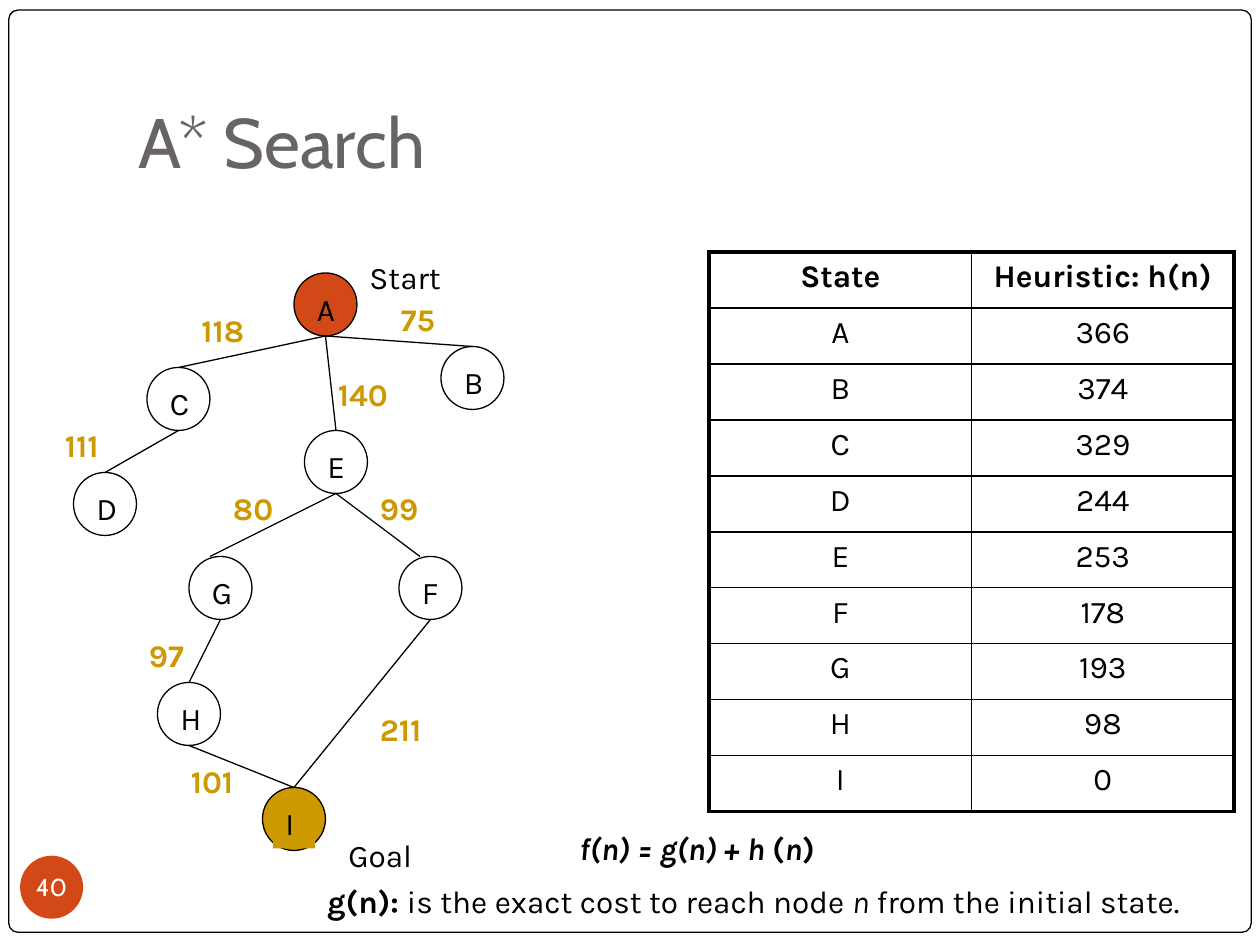
from lxml import etree
from pptx import Presentation
from pptx.dml.color import RGBColor
from pptx.enum.shapes import MSO_CONNECTOR, MSO_SHAPE
from pptx.enum.text import MSO_ANCHOR, PP_ALIGN
from pptx.oxml.ns import qn
from pptx.util import Pt

BLACK = RGBColor(0x00, 0x00, 0x00)
WHITE = RGBColor(0xFF, 0xFF, 0xFF)
GRAY = RGBColor(0x69, 0x64, 0x64)
ORANGE = RGBColor(0xD3, 0x48, 0x17)
GOLD = RGBColor(0xCC, 0x99, 0x00)
ELLIPSE, RECTANGLE = MSO_SHAPE.OVAL, MSO_SHAPE.RECTANGLE
ROUNDED, STRAIGHT = MSO_SHAPE.ROUNDED_RECTANGLE, MSO_CONNECTOR.STRAIGHT
CENTER, MIDDLE, BOTTOM = PP_ALIGN.CENTER, MSO_ANCHOR.MIDDLE, MSO_ANCHOR.BOTTOM
HEADING_FONT, BODY_FONT = "Cabin", "Karla"

# Node: left, top of its circle
NODES = {
    "A": (168, 156), "B": (252, 198), "D": (42, 270),
    "C": (84, 210), "E": (174, 246), "F": (228, 318),
    "I": (150, 450), "G": (108, 318), "H": (90, 390),
}
NODE_FILLS = {"A": ORANGE, "I": GOLD}
# Parent, child, sideways shift of the child end, cost, cost box left, top, width
EDGES = [
    ("A", "B", 0, "75", 222, 168, 48),
    ("A", "C", 0, "118", 108, 174, 60),
    ("A", "E", 0, "140", 186, 211, 60),
    ("C", "D", 0, "111", 30, 240, 60),
    ("E", "G", -6, "80", 126, 276, 48),
    ("E", "F", -6, "99", 210, 276, 48),
    ("G", "H", 0, "97", 78, 360, 48),
    ("H", "I", 0, "101", 102, 432, 66),
    ("F", "I", 0, "211", 210, 402, 60),
]
CAPTIONS = [("Start", 204, 144), ("Goal", 192, 474)]
HEURISTICS = [
    ("State", "Heuristic: h(n)"),
    ("A", "366"), ("B", "374"), ("C", "329"), ("D", "244"), ("E", "253"),
    ("F", "178"), ("G", "193"), ("H", "98"), ("I", "0"),
]
# Run: text, bold, italic
FORMULA = [("f(n) = g(n) + h ", True, True), ("(", True, False),
           ("n", True, True), (")", True, False)]
DEFINITION = [("g(n): ", True, False),
              ("is the exact cost to reach node ", False, False),
              ("n", False, True), (" from the initial state.", False, False)]

DIAMETER, LABEL_INSET, LABEL_WIDTH, LABEL_HEIGHT = 36, 6, 24, 28.8
TABLE_LEFT, TABLE_TOP, COLUMN_WIDTH, ROW_HEIGHT = 405.2, 144, 150, 32
THIN, INNER, OUTER = 0.75, 1, 2.25


def format_run(run, size=18, color=BLACK, font=BODY_FONT, bold=False, italic=False):
    run.font.size, run.font.name = Pt(size), font
    run.font.color.rgb = color
    run.font.bold, run.font.italic = bold, italic


def add_shape(slide, kind, left, top, width, height, fill=None, line=None):
    shape = slide.shapes.add_shape(kind, Pt(left), Pt(top), Pt(width), Pt(height))
    shape.shadow.inherit = False
    if fill is None:
        shape.fill.background()
    else:
        shape.fill.solid()
        shape.fill.fore_color.rgb = fill
    if line is None:
        shape.line.fill.background()
    else:
        shape.line.color.rgb = line
        shape.line.width = Pt(THIN)
    return shape


def add_text(slide, text, left, top, width, height=LABEL_HEIGHT, **font):
    box = slide.shapes.add_textbox(Pt(left), Pt(top), Pt(width), Pt(height))
    box.text_frame.word_wrap = True
    box.text_frame.text = text
    format_run(box.text_frame.paragraphs[0].runs[0], **font)
    return box


def add_line(slide, start, end):
    line = slide.shapes.add_connector(STRAIGHT, *map(Pt, start + end))
    line.line.color.rgb = BLACK
    line.line.width = Pt(THIN)
    etree.SubElement(line._element.spPr, qn("a:effectLst"))


def add_node(slide, name):
    left, top = NODES[name]
    fill = NODE_FILLS.get(name)
    add_shape(slide, ELLIPSE, left, top, DIAMETER, DIAMETER, fill, BLACK)
    label = add_text(slide, name, left + LABEL_INSET, top + LABEL_INSET, LABEL_WIDTH)
    if name == "I":
        label.fill.solid()
        label.fill.fore_color.rgb = fill


def add_edge(slide, parent, child, shift, cost, left, top, width):
    """Join the bottom of the parent to the top of the child and show the cost."""
    parent_left, parent_top = NODES[parent]
    child_left, child_top = NODES[child]
    radius = DIAMETER / 2
    add_line(slide, (parent_left + radius, parent_top + DIAMETER),
             (child_left + radius + shift, child_top))
    add_text(slide, cost, left, top, width, color=GOLD, bold=True)


def set_borders(cell, widths):
    properties = cell._tc.get_or_add_tcPr()
    for position, (side, width) in enumerate(widths.items()):
        border = etree.Element(qn(f"a:ln{side}"), w=str(Pt(width)))
        fill = etree.SubElement(border, qn("a:solidFill"))
        etree.SubElement(fill, qn("a:srgbClr"), val=str(BLACK))
        properties.insert(position, border)


def add_heuristic_table(slide):
    row_count, column_count = len(HEURISTICS), len(HEURISTICS[0])
    table = slide.shapes.add_table(
        row_count, column_count, Pt(TABLE_LEFT), Pt(TABLE_TOP),
        Pt(COLUMN_WIDTH * column_count), Pt(ROW_HEIGHT * row_count)).table
    table.horz_banding = False
    for column in table.columns:
        column.width = Pt(COLUMN_WIDTH)
    for row_index, values in enumerate(HEURISTICS):
        for column_index, value in enumerate(values):
            cell = table.cell(row_index, column_index)
            cell.fill.background()
            cell.text_frame.text = value
            paragraph = cell.text_frame.paragraphs[0]
            paragraph.alignment = CENTER
            format_run(paragraph.runs[0], bold=row_index == 0)
            outside = {"L": column_index == 0, "R": column_index == column_count - 1,
                       "T": row_index == 0, "B": row_index == row_count - 1}
            set_borders(cell, {side: OUTER if outer else INNER
                               for side, outer in outside.items()})


def add_explanation(slide):
    box = slide.shapes.add_textbox(Pt(180), Pt(470), Pt(522), Pt(93.6))
    frame = box.text_frame
    frame.word_wrap = True
    formula, definition = frame.paragraphs[0], frame.add_paragraph()
    formula._p.get_or_add_pPr().set("marL", str(Pt(144)))
    definition.space_before = Pt(9)
    for paragraph, runs in ((formula, FORMULA), (definition, DEFINITION)):
        for text, bold, italic in runs:
            run = paragraph.add_run()
            run.text = text
            format_run(run, bold=bold, italic=italic)


def add_slide_number(slide):
    badge = add_shape(slide, ELLIPSE, 11.5, 489, DIAMETER, DIAMETER, ORANGE)
    frame = badge.text_frame
    frame.margin_left = frame.margin_right = frame.margin_top = frame.margin_bottom = 0
    frame.vertical_anchor = MIDDLE
    frame.text = "40"
    frame.paragraphs[0].alignment = CENTER
    format_run(frame.paragraphs[0].runs[0], 14, WHITE, HEADING_FONT)


def main():
    presentation = Presentation()
    presentation.slide_width, presentation.slide_height = Pt(720), Pt(540)
    slide = presentation.slides.add_slide(presentation.slide_layouts[6])

    frame = add_shape(slide, ROUNDED, 5, 5.75, 710, 527, WHITE, BLACK)
    frame.adjustments[0] = 0.01
    title = add_text(slide, "A* Search", 72, 21.6, 612, 90,
                     size=40, color=GRAY, font=HEADING_FONT)
    title.text_frame.vertical_anchor = BOTTOM
    title.text_frame.margin_bottom = Pt(7.2)
    add_slide_number(slide)
    add_heuristic_table(slide)
    add_explanation(slide)
    for name in NODES:
        add_node(slide, name)
    for edge in EDGES:
        add_edge(slide, *edge)
    for text, left, top in CAPTIONS:
        add_text(slide, text, left, top, 96)
    presentation.save("out.pptx")


if __name__ == "__main__":
    main()
